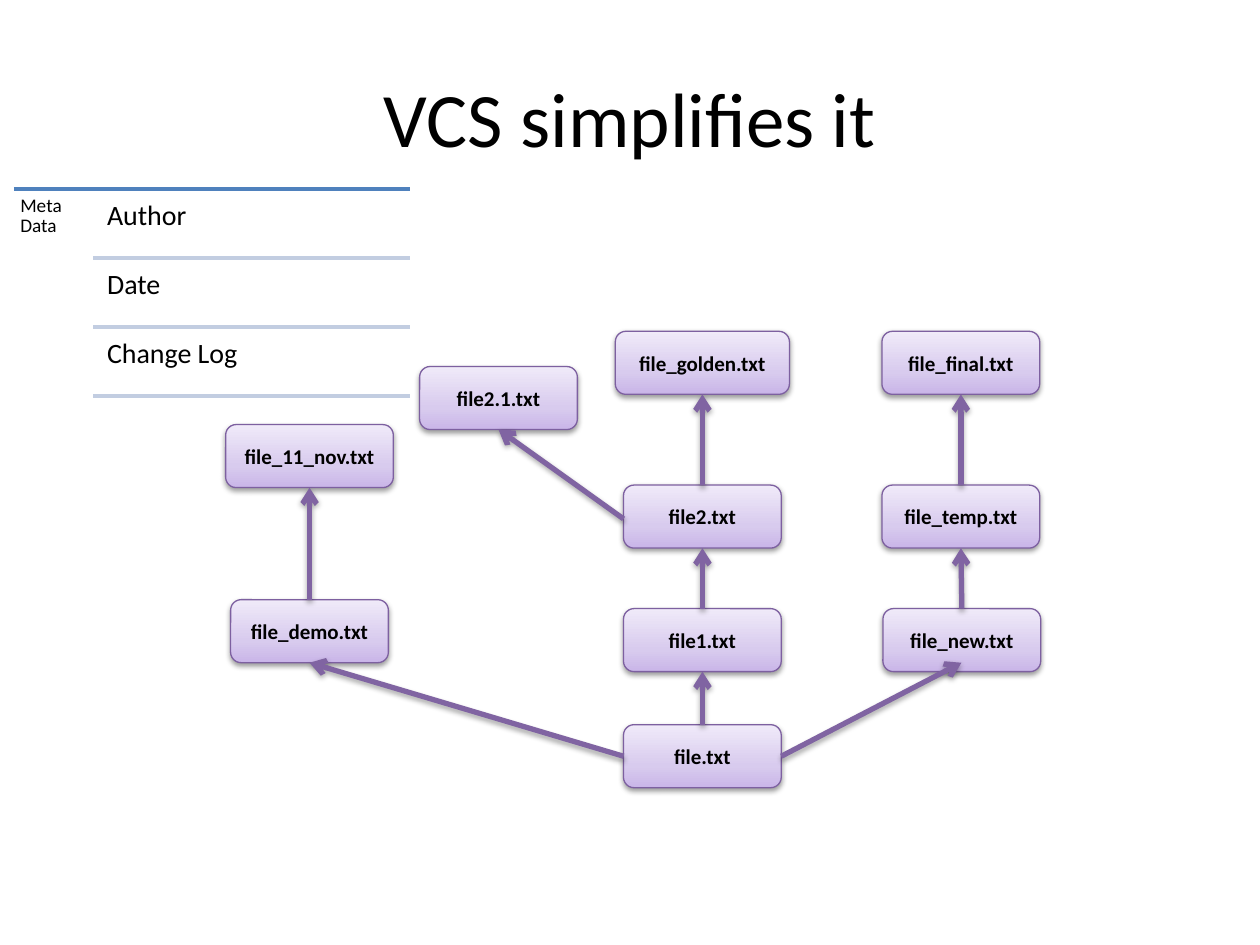
"""Build the slide that shows how a VCS orders the versions of a file."""
from dataclasses import dataclass

from pptx import Presentation
from pptx.dml.color import RGBColor as RGB
from pptx.enum.shapes import MSO_CONNECTOR as CONN, MSO_SHAPE as SHAPE
from pptx.enum.text import MSO_ANCHOR as ANCHOR, PP_ALIGN as ALIGN
from pptx.oxml import parse_xml
from pptx.oxml.ns import nsdecls, qn
from pptx.util import Cm, Pt


@dataclass(frozen=True)
class Theme:
    font: str = "Calibri"
    text: str = "000000"
    border: str = "7D60A0"
    arrow: str = "8064A2"
    header: str = "4F81BD"
    rule: str = "C2CDE1"
    gradient: tuple = ((0, "C9B5E8"), (35, "D8CBEE"), (100, "F0EAF9"))
    title_size: int = 44
    row_size: int = 16
    node_size: int = 12
    label_size: int = 11


THEME = Theme()
TOP, LEFT, BOTTOM, RIGHT = range(4)
NODE_W, NODE_H = 3.18, 1.27

# name: centre x, top, width
NODES = {
    "file.txt": (14.16, 14.61, NODE_W),
    "file_new.txt": (19.39, 12.27, NODE_W),
    "file_11_nov.txt": (6.24, 8.56, 3.38),
    "file2.txt": (14.16, 9.78, NODE_W),
    "file_final.txt": (19.37, 6.68, NODE_W),
    "file2.1.txt": (10.05, 7.39, NODE_W),
    "file1.txt": (14.16, 12.27, NODE_W),
    "file_demo.txt": (6.24, 12.09, NODE_W),
    "file_golden.txt": (14.16, 6.68, 3.51),
    "file_temp.txt": (19.37, 9.78, NODE_W),
}

# each end is a node and its side, or a free point
LINKS = [
    (("file.txt", TOP), ("file1.txt", BOTTOM)),
    (("file.txt", LEFT), ("file_demo.txt", BOTTOM)),
    (("file.txt", RIGHT), (19.38, 13.36)),
    (("file_new.txt", TOP), ("file_temp.txt", BOTTOM)),
    (("file1.txt", TOP), ("file2.txt", BOTTOM)),
    ((12.57, 10.46), ("file2.1.txt", BOTTOM)),
    (("file_demo.txt", TOP), ("file_11_nov.txt", BOTTOM)),
    (("file2.txt", TOP), ("file_golden.txt", BOTTOM)),
    (("file_temp.txt", TOP), ("file_final.txt", BOTTOM)),
]


def add_effects(shape, opacity=None):
    """Give the shape a soft shadow below it, or no effect at all."""
    shadow = "" if opacity is None else (
        '<a:outerShdw blurRad="40000" dist="20000" dir="5400000" rotWithShape="0">'
        f'<a:srgbClr val="000000"><a:alpha val="{opacity * 1000}"/></a:srgbClr>'
        '</a:outerShdw>')
    shape._element.spPr.append(
        parse_xml(f'<a:effectLst {nsdecls("a")}>{shadow}</a:effectLst>'))


def add_gradient(shape):
    """Fill the shape with the theme's gradient, running upwards."""
    stops = "".join(f'<a:gs pos="{pos * 1000}"><a:srgbClr val="{color}"/></a:gs>'
                    for pos, color in THEME.gradient)
    shape._element.spPr.append(parse_xml(
        f'<a:gradFill rotWithShape="1" {nsdecls("a")}><a:gsLst>{stops}</a:gsLst>'
        '<a:lin ang="16200000" scaled="0"/></a:gradFill>'))


def set_text(shape, text, size, bold=False, align=ALIGN.CENTER, anchor=ANCHOR.MIDDLE):
    """Write one styled paragraph into the shape and return it."""
    tf = shape.text_frame
    tf.word_wrap = True
    tf.vertical_anchor = anchor
    p = tf.paragraphs[0]
    p.text = text
    p.alignment = align
    p.font.name = THEME.font
    p.font.size = Pt(size)
    p.font.bold = bold
    p.font.color.rgb = RGB.from_string(THEME.text)
    return p


def add_title(s, text):
    """Add the centred slide title."""
    tb = s.shapes.add_textbox(Cm(1.27), Cm(0.76), Cm(22.86), Cm(3.18))
    set_text(tb, text, THEME.title_size)


def add_node(s, name, center, top, width):
    """Add a rounded box for one file version."""
    sp = s.shapes.add_shape(SHAPE.ROUNDED_RECTANGLE, Cm(center - width / 2),
                            Cm(top), Cm(width), Cm(NODE_H))
    add_gradient(sp)
    sp.line.color.rgb = RGB.from_string(THEME.border)
    sp.line.width = Pt(0.75)
    add_effects(sp, 38)
    set_text(sp, name, THEME.node_size, bold=True)
    return sp


def add_line(shapes, start, end, color, width):
    """Add a straight line between two points."""
    line = shapes.add_connector(CONN.STRAIGHT, *map(Cm, start + end))
    line.line.color.rgb = RGB.from_string(color)
    line.line.width = Pt(width)
    return line


def add_arrow(s, nodes, start, end):
    """Add an arrow, joined to a node at each end that names one."""
    points = [(0, 0) if e[0] in nodes else e for e in (start, end)]
    arrow = add_line(s.shapes, *points, THEME.arrow, 3)
    for (node, side), connect in ((start, arrow.begin_connect), (end, arrow.end_connect)):
        if node in nodes:
            connect(nodes[node], side)
    ln = arrow._element.spPr.find(qn("a:ln"))
    ln.append(parse_xml(f'<a:tailEnd type="arrow" {nsdecls("a")}/>'))
    add_effects(arrow, 35)


def add_cell(shapes, text, box, size, inset):
    """Add one text cell of the metadata list."""
    tb = shapes.add_textbox(*map(Cm, box))
    tf = tb.text_frame
    tf.margin_left = tf.margin_right = tf.margin_top = tf.margin_bottom = Cm(inset)
    p = set_text(tb, text, size, align=ALIGN.LEFT, anchor=ANCHOR.TOP)
    p.line_spacing = 0.9


def add_metadata(s, label, rows):
    """Add the ruled list of metadata with its label at the left."""
    shapes = s.shapes.add_group_shape().shapes
    left, right, top, step = 0.28, 8.26, 3.81, 1.39
    add_effects(add_line(shapes, (left, top), (right, top), THEME.header, 2))
    add_cell(shapes, label, (left, top, 1.6, 4.24), THEME.label_size, 0.13)
    for i, row in enumerate(rows):
        add_cell(shapes, row, (1.98, top + 0.07 + i * step, 6.28, 1.32),
                 THEME.row_size, 0.18)
        y = top + (i + 1) * step
        add_effects(add_line(shapes, (1.88, y), (right, y), THEME.rule, 2))


def main():
    """Build and save the slide."""
    prs = Presentation()
    prs.slide_width, prs.slide_height = Cm(25.4), Cm(19.05)
    s = prs.slides.add_slide(prs.slide_layouts[6])
    add_title(s, "VCS simplifies it")
    nodes = {name: add_node(s, name, *place) for name, place in NODES.items()}
    for start, end in LINKS:
        add_arrow(s, nodes, start, end)
    add_metadata(s, "Meta Data", ["Author", "Date", "Change Log"])
    prs.save("out.pptx")


if __name__ == "__main__":
    main()
